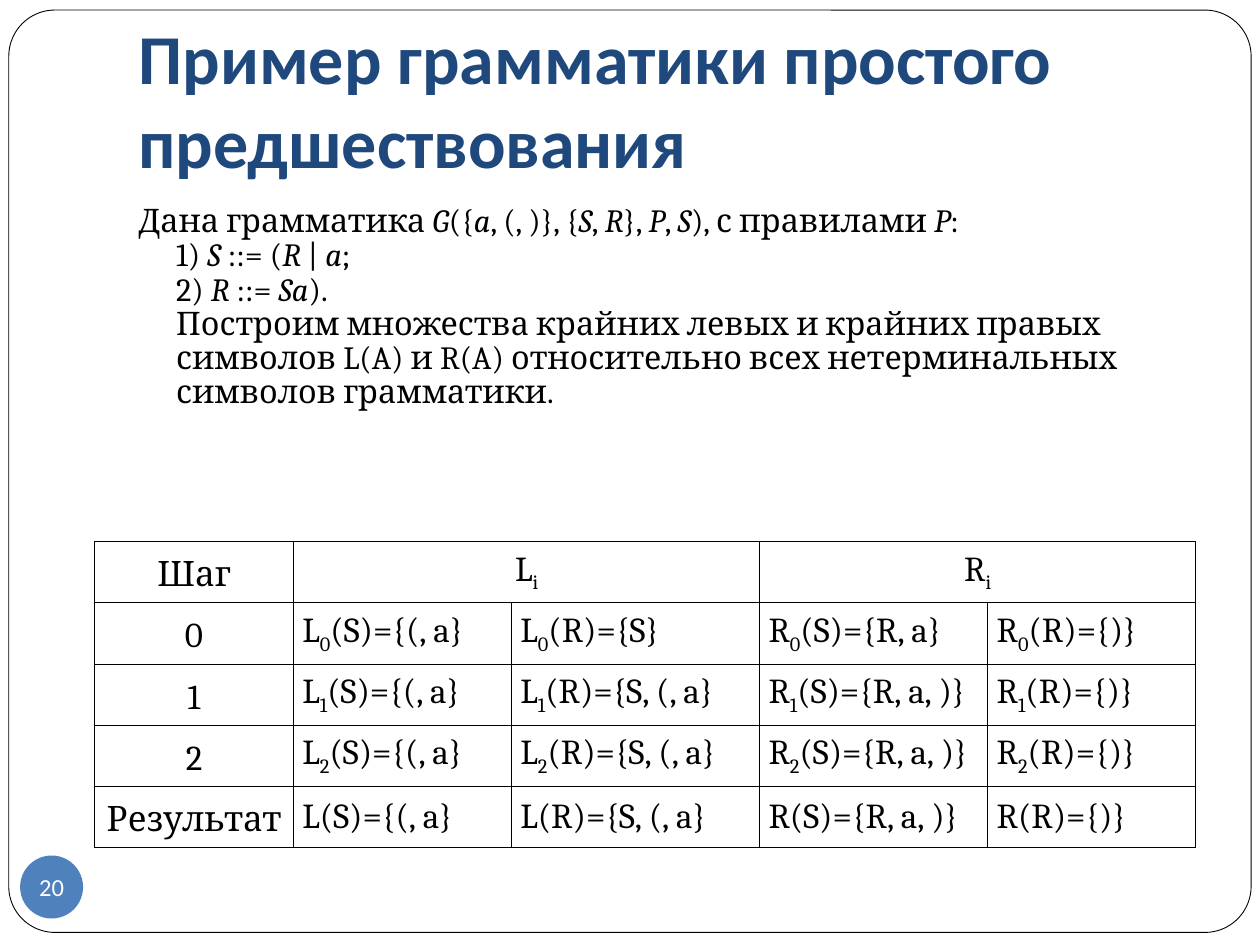
"""Build a slide on a simple precedence grammar with its table of edge symbols."""
from lxml.etree import SubElement as Sub
from pptx import Presentation
from pptx.dml.color import RGBColor
from pptx.enum.shapes import MSO_SHAPE as Kind
from pptx.enum.text import MSO_ANCHOR as Anchor, MSO_AUTO_SIZE as Fit, PP_ALIGN as Align
from pptx.oxml.ns import qn
from pptx.util import Inches, Pt

BLACK = RGBColor(0x00, 0x00, 0x00)
WHITE = RGBColor(0xFF, 0xFF, 0xFF)
NAVY = RGBColor(0x1F, 0x49, 0x7D)
BLUE = RGBColor(0x4F, 0x81, 0xBD)

deck = Presentation()
deck.slide_width, deck.slide_height = Inches(10), Inches(7.5)
col, row = deck.slide_width // 100, deck.slide_height // 75
slide = deck.slides.add_slide(deck.slide_layouts[5])
shapes = slide.shapes


def grid(x, y, wide, high):
    return int(x * col), int(y * row), int(wide * col), int(high * row)


def write(par, text, size, font="Cambria", color=BLACK):
    for mark, piece in enumerate(text.split("~")):
        if not piece:
            continue
        run = par.add_run()
        run.text = piece
        run.font.name, run.font.size = font, Pt(size)
        run.font.color.rgb = color
        if mark % 2 and piece.isalpha() and piece != "i":
            run.font.italic = True
        elif mark % 2:
            run.font._element.set("baseline", "-25000")


frame = shapes.add_shape(Kind.ROUNDED_RECTANGLE, *grid(0.7, 0.8, 98.6, 73.2))
frame.adjustments[0] = 0.05
frame.shadow.inherit = False
frame.fill.solid()
frame.fill.fore_color.rgb = WHITE
frame.line.color.rgb = BLACK
frame.line.width = Pt(0.5)
shapes._spTree.insert(2, frame._element)

title = shapes.title
title.left, title.top, title.width, title.height = grid(10, 3, 85, 12.5)
head = title.text_frame
head.auto_size = Fit.NONE
head.word_wrap = True
head.vertical_anchor = Anchor.BOTTOM
head.margin_bottom = Inches(0.1)
head.paragraphs[0].alignment = Align.LEFT
write(head.paragraphs[0], "Пример грамматики простого предшествования", 40, "Calibri", NAVY)
head.paragraphs[0].runs[0].font.bold = True

lines = [
    "Дана грамматика ~G~({~a~, (, )}, {~S~, ~R~}, ~P~, ~S~), с правилами ~P~:",
    "1) ~S~ ::= (~R~ | ~a~;",
    "2) ~R~ ::= ~Sa~).",
    "Построим множества крайних левых и крайних правых символов L(A) и R(A) "
    "относительно всех нетерминальных символов грамматики.",
]
body = shapes.add_textbox(*grid(10, 15.8, 85, 20.9)).text_frame
body.word_wrap = True
for n, line in enumerate(lines):
    par = body.add_paragraph() if n else body.paragraphs[0]
    par.line_spacing = 0.88
    if n:
        par._p.get_or_add_pPr().set("marL", str(3 * col))
    write(par, line, 18.5)

badge = shapes.add_shape(Kind.OVAL, *grid(1.6, 67.9, 5, 5))
badge.shadow.inherit = False
badge.fill.solid()
badge.fill.fore_color.rgb = BLUE
badge.line.fill.background()
label = badge.text_frame
label.margin_left = label.margin_right = label.margin_top = label.margin_bottom = 0
label.word_wrap = False
label.vertical_anchor = Anchor.MIDDLE
label.paragraphs[0].alignment = Align.CENTER
write(label.paragraphs[0], "20", 14, "Calibri", WHITE)

cells = [
    ["Шаг", "L~i~", "", "R~i~", ""],
    ["0", "L~0~(S)={(, a}", "L~0~(R)={S}", "R~0~(S)={R, a}", "R~0~(R)={)}"],
    ["1", "L~1~(S)={(, a}", "L~1~(R)={S, (, a}", "R~1~(S)={R, a, )}", "R~1~(R)={)}"],
    ["2", "L~2~(S)={(, a}", "L~2~(R)={S, (, a}", "R~2~(S)={R, a, )}", "R~2~(R)={)}"],
    ["Результат", "L(S)={(, a}", "L(R)={S, (, a}", "R(S)={R, a, )}", "R(R)={)}"],
]
table = shapes.add_table(5, 5, *grid(7.5, 43, 87.5, 23.7)).table
table.first_row = table.horz_banding = False
for part, wide in zip(table.columns, (15.8, 17.3, 19.7, 18.1, 16.5)):
    part.width = int(wide * col)
for part, high in zip(table.rows, (4.7, 4.9, 4.7, 4.7, 4.7)):
    part.height = int(high * row)
for left in (1, 3):
    table.cell(0, left).merge(table.cell(0, left + 1))

for r, texts in enumerate(cells):
    for c, text in enumerate(texts):
        cell = table.cell(r, c)
        cell.margin_left = cell.margin_right = Inches(0.07)
        cell.margin_top = cell.margin_bottom = Inches(0.05)
        cell.vertical_anchor = Anchor.MIDDLE
        for side in ("a:lnL", "a:lnR", "a:lnT", "a:lnB"):
            edge = Sub(cell._tc.get_or_add_tcPr(), qn(side), w=str(Pt(0.45)))
            Sub(Sub(edge, qn("a:solidFill")), qn("a:srgbClr"), val=str(BLACK))
        cell.fill.background()
        par = cell.text_frame.paragraphs[0]
        par.alignment = Align.JUSTIFY if r and c else Align.CENTER
        if c == 0:
            par.line_spacing = 1.15
        write(par, text, 20)

deck.save("out.pptx")
